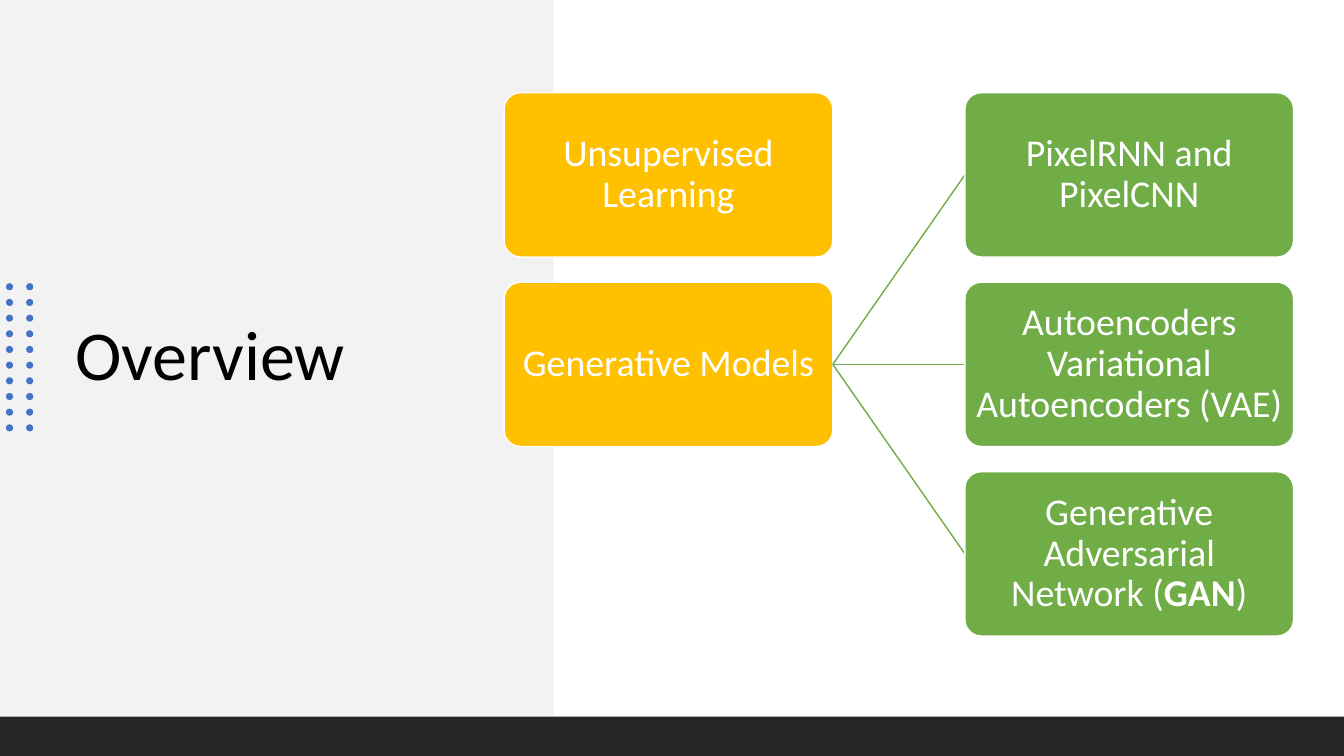
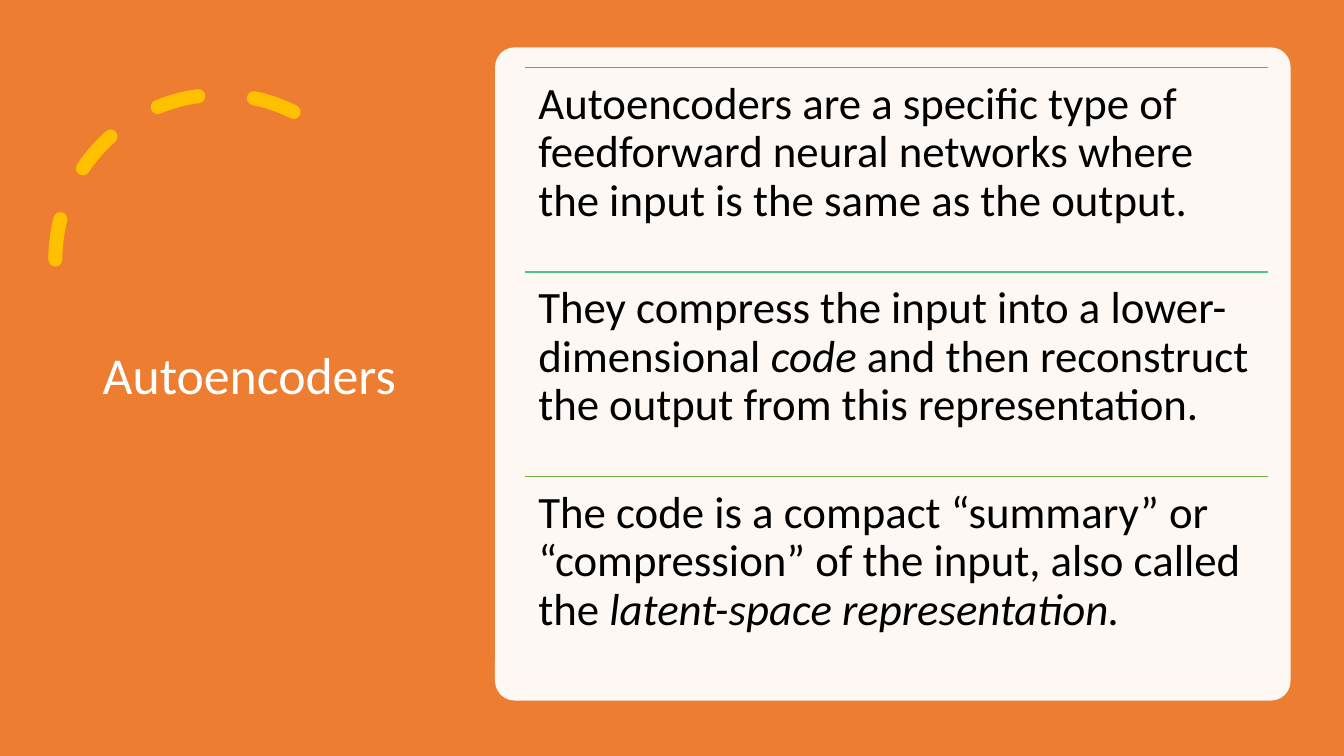
from pptx import Presentation
from pptx.dml.color import RGBColor
from pptx.enum.dml import MSO_LINE
from pptx.enum.shapes import MSO_CONNECTOR, MSO_SHAPE
from pptx.enum.text import MSO_ANCHOR, PP_ALIGN
from pptx.oxml.ns import qn
from pptx.util import Inches, Pt
from lxml import etree

RECTANGLE = MSO_SHAPE.RECTANGLE
ROUNDED = MSO_SHAPE.ROUNDED_RECTANGLE
OVAL = MSO_SHAPE.OVAL
ARC = MSO_SHAPE.ARC
STRAIGHT = MSO_CONNECTOR.STRAIGHT
DASH = MSO_LINE.DASH
MIDDLE, TOP = MSO_ANCHOR.MIDDLE, MSO_ANCHOR.TOP
LEFT, CENTER = PP_ALIGN.LEFT, PP_ALIGN.CENTER

WHITE, BLACK = "FFFFFF", "000000"
LIGHT, DARK = "F2F2F2", "262626"
BLUE, GOLD, GREEN, ORANGE = "4472C4", "FFC000", "70AD47", "ED7D31"
SKY, MINT = "5B9BD5", "4DC58D"


def color(value):
    return RGBColor.from_string(value)


class Deck:
    font = "Calibri"
    width, height = 13.33, 7.5

    def __init__(self):
        self.deck = Presentation()
        self.deck.slide_width = Inches(self.width)
        self.deck.slide_height = Inches(self.height)
        self.page = None

    def new_page(self, background=WHITE):
        self.page = self.deck.slides.add_slide(self.deck.slide_layouts[6])
        fill = self.page.background.fill
        fill.solid()
        fill.fore_color.rgb = color(background)

    def shape(self, kind, left, top, width, height, fill, outline=None, radius=None, alpha=None):
        shape = self.page.shapes.add_shape(
            kind, Inches(left), Inches(top), Inches(width), Inches(height))
        shape.shadow.inherit = False
        shape.fill.solid()
        shape.fill.fore_color.rgb = color(fill)
        if outline:
            shape.line.color.rgb = color(outline)
            shape.line.width = Pt(1)
        else:
            shape.line.fill.background()
        if radius:
            shape.adjustments[0] = radius
        if alpha:
            tint = shape._element.spPr.find(qn("a:solidFill"))[0]
            etree.SubElement(tint, qn("a:alpha")).set("val", str(alpha * 1000))
        return shape

    def dashed_arc(self, left, top, size, start, stroke):
        arc = self.page.shapes.add_shape(
            ARC, Inches(left), Inches(top), Inches(size), Inches(size))
        arc.shadow.inherit = False
        arc.fill.background()
        arc.adjustments[0] = start
        arc.adjustments[1] = 0
        arc.line.color.rgb = color(stroke)
        arc.line.width = Pt(10)
        arc.line.dash_style = DASH
        properties = arc._element.spPr
        properties.find(qn("a:xfrm")).set("flipH", "1")
        properties.find(qn("a:ln")).set("cap", "rnd")

    def line(self, start_x, start_y, end_x, end_y, stroke):
        line = self.page.shapes.add_connector(
            STRAIGHT, Inches(start_x), Inches(start_y), Inches(end_x), Inches(end_y))
        line.line.color.rgb = color(stroke)
        line.line.width = Pt(1)
        etree.SubElement(line._element.spPr, qn("a:effectLst"))

    def fill_text(self, box, spans, size, ink, align=LEFT, anchor=MIDDLE, inset=None):
        frame = box.text_frame
        frame.word_wrap = True
        frame.vertical_anchor = anchor
        if inset is not None:
            frame.margin_left = frame.margin_right = Inches(inset)
            frame.margin_top = frame.margin_bottom = Inches(inset)
        para = frame.paragraphs[0]
        para.alignment = align
        para.line_spacing = 0.9
        for text, style in spans:
            span = para.add_run()
            span.text = text
            span.font.name = self.font
            span.font.size = Pt(size)
            span.font.color.rgb = color(ink)
            span.font.bold = style == "bold"
            span.font.italic = style == "italic"

    def text(self, left, top, width, height, spans, size, ink, **options):
        box = self.page.shapes.add_textbox(
            Inches(left), Inches(top), Inches(width), Inches(height))
        self.fill_text(box, spans, size, ink, **options)

    def title(self, left, top, width, height, words, size, ink):
        self.text(left, top, width, height, [(words, "")], size, ink)

    def node(self, left, top, width, height, spans, fill):
        box = self.shape(ROUNDED, left, top, width, height, fill, WHITE, 0.1)
        self.fill_text(box, spans, 27, WHITE, align=CENTER, inset=0.06)


def overview(deck):
    deck.new_page()
    deck.shape(RECTANGLE, 0, 0, 5.49, 7.1, LIGHT)
    deck.title(0.65, 1.32, 4.24, 4.45, "Overview", 50, BLACK)
    for row in range(10):
        for column in range(2):
            deck.shape(OVAL, 0.06 + 0.2 * column, 2.81 + 1.4 * row / 9, 0.07, 0.07, BLUE)
    deck.shape(RECTANGLE, 0, 7.11, deck.width, 0.39, DARK)

    topics_left, models_left, top = 5, 9.57, 0.92
    width, height, gap = 3.26, 1.63, 0.25
    pitch = height + gap
    topics = ["Unsupervised Learning", "Generative Models"]
    models = [
        [("PixelRNN and PixelCNN", "")],
        [("Autoencoders Variational Autoencoders (VAE)", "")],
        [("Generative Adversarial Network (", ""), ("GAN", "bold"), (")", "")],
    ]
    for row, topic in enumerate(topics):
        deck.node(topics_left, top + row * pitch, width, height, [(topic, "")], GOLD)
    branch_y = top + pitch + height / 2
    for row, spans in enumerate(models):
        model_top = top + row * pitch
        deck.line(topics_left + width, branch_y, models_left, model_top + height / 2, GREEN)
        deck.node(models_left, model_top, width, height, spans, GREEN)


def autoencoders(deck):
    deck.new_page(ORANGE)
    deck.dashed_arc(0.55, 0.94, 3.27, 146.13, GOLD)
    deck.title(0.92, 0.7, 3.23, 6.09, "Autoencoders", 37, WHITE)
    deck.shape(ROUNDED, 4.91, 0.47, 7.89, 6.48, WHITE, radius=0.03, alpha=95)

    left, top, width, pitch = 5.21, 0.67, 7.37, 2.03
    statements = [
        (SKY, [("Autoencoders are a specific type of feedforward neural networks "
                "where the input is the same as the output.", "")]),
        (MINT, [("They compress the input into a lower-dimensional ", ""),
                ("code ", "italic"),
                ("and then reconstruct the output from this representation.", "")]),
        (GREEN, [("The code is a compact “summary” or “compression” of the input, "
                  "also called the ", ""),
                 ("latent-space representation.", "italic")]),
    ]
    for row, (stroke, spans) in enumerate(statements):
        row_top = top + row * pitch
        deck.line(left, row_top, left + width, row_top, stroke)
        deck.text(left, row_top, width, pitch, spans, 32, BLACK, anchor=TOP, inset=0.13)


def main():
    deck = Deck()
    overview(deck)
    autoencoders(deck)
    deck.deck.save("out.pptx")


if __name__ == "__main__":
    main()
